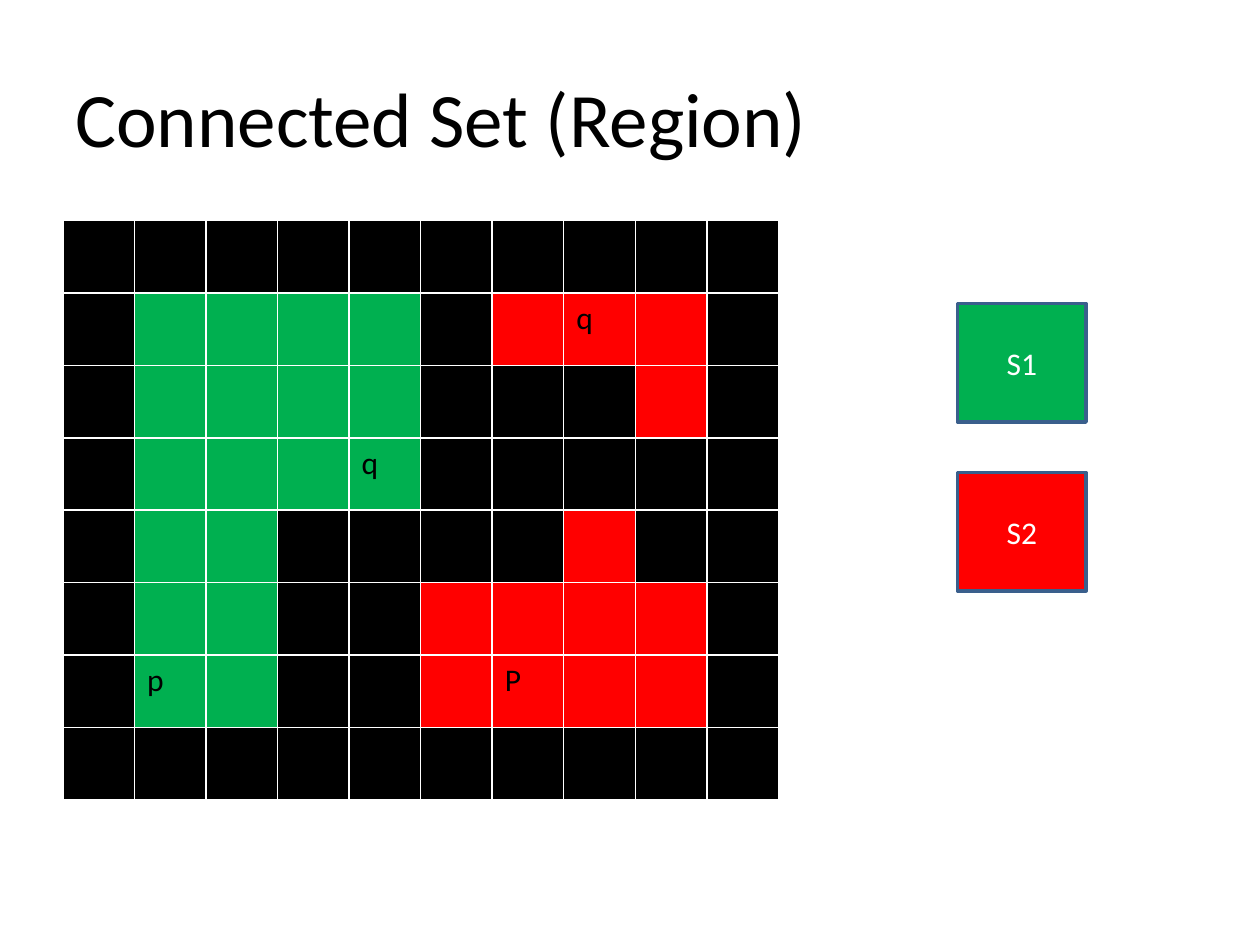
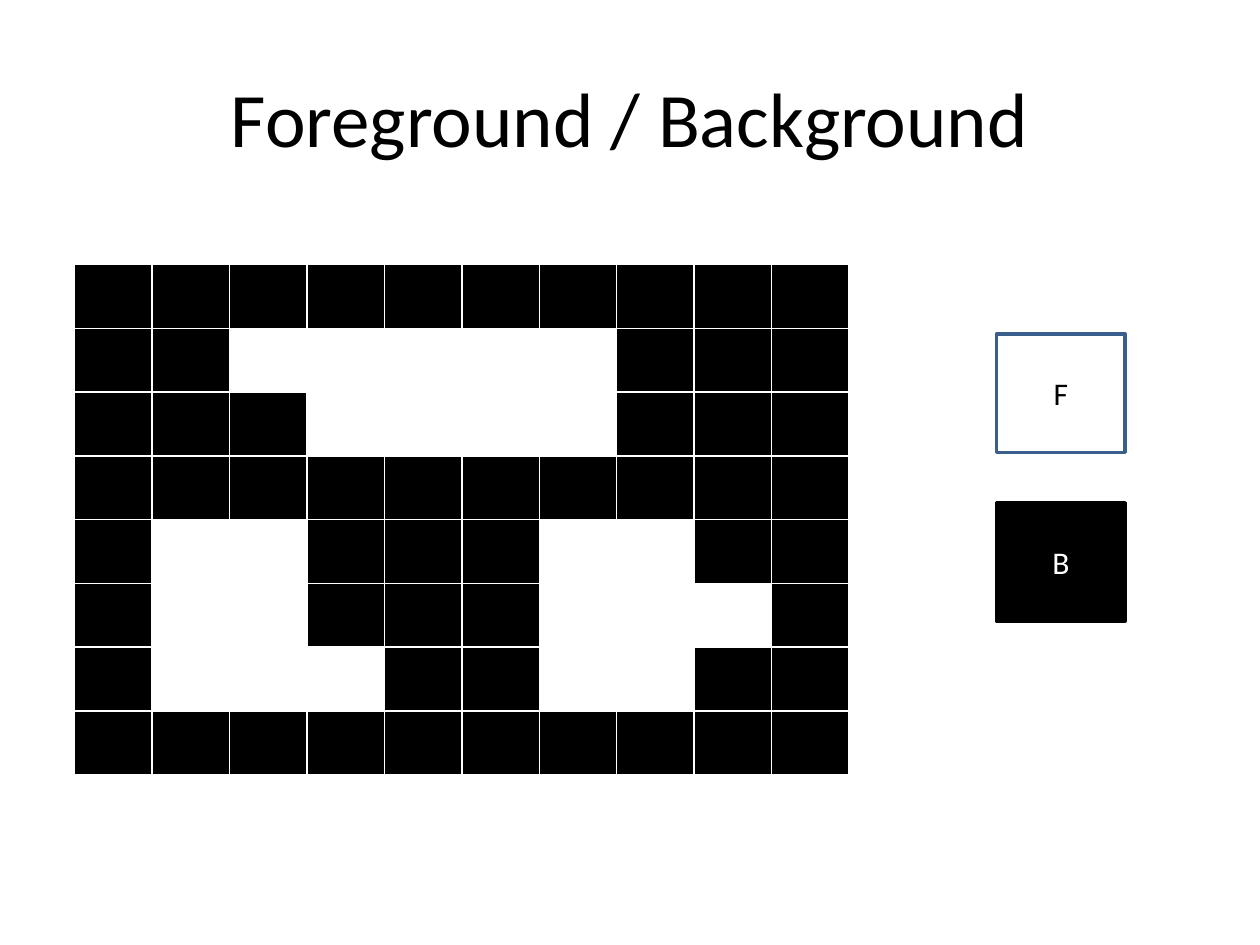
from dataclasses import dataclass, field

import pptx
import pptx.dml.color
import pptx.enum.shapes
import pptx.enum.text
import pptx.oxml
import pptx.oxml.ns
import pptx.util

COLORS = {
    "black": "000000",
    "white": "FFFFFF",
    "green": "00B050",
    "red": "FF0000",
    "outline": "3A5F8C",
}
FONT = "Calibri"
TITLE_SIZE, LABEL_SIZE = 44, 18
ALIGN = pptx.enum.text.PP_ALIGN
MIDDLE = pptx.enum.text.MSO_ANCHOR.MIDDLE

# Layout grid: 100 columns by 75 rows of square units
GRID_COLUMNS, GRID_ROWS = 100, 75
SLIDE_WIDTH = pptx.util.Inches(10)
SLIDE_HEIGHT = pptx.util.Inches(7.5)

# One letter per pixel of an image
PIXEL_COLORS = {".": "black", "G": "green", "R": "red", "W": "white"}


@dataclass
class Box:
    left: float
    top: float
    width: float
    height: float

    def emu(self) -> tuple[int, int, int, int]:
        column, row = SLIDE_WIDTH / GRID_COLUMNS, SLIDE_HEIGHT / GRID_ROWS
        return (round(self.left * column), round(self.top * row),
                round(self.width * column), round(self.height * row))


@dataclass
class LegendKey:
    label: str
    fill: str
    text: str = "white"
    outline: str = "outline"


@dataclass
class RegionSlide:
    title: str
    title_align: ALIGN
    image_box: Box
    pixels: list[str]
    legend_left: float
    legend_top: float
    legend: list[LegendKey]
    points: dict[tuple[int, int], str] = field(default_factory=dict)


TITLE_BOX = Box(5, 3, 90, 12.5)
KEY_WIDTH, KEY_HEIGHT, KEY_STEP = 10.2, 9.4, 13.4

SLIDES = [
    RegionSlide(
        title="Connected Set (Region)",
        title_align=ALIGN.LEFT,
        image_box=Box(5, 17.5, 56.8, 46),
        pixels=[
            "..........",
            ".GGGG.RRR.",
            ".GGGG...R.",
            ".GGGG.....",
            ".GG....R..",
            ".GG..RRRR.",
            ".GG..RRRR.",
            "..........",
        ],
        points={(1, 7): "q", (3, 4): "q", (6, 1): "p", (6, 6): "P"},
        legend_left=76,
        legend_top=24.1,
        legend=[LegendKey("S1", "green"), LegendKey("S2", "red")],
    ),
    RegionSlide(
        title="Foreground / Background",
        title_align=ALIGN.CENTER,
        image_box=Box(5.9, 21, 61.5, 40.5),
        pixels=[
            "..........",
            "..WWWWW...",
            "...WWWW...",
            "..........",
            ".WW...WW..",
            ".WW...WWW.",
            ".WWW..WW..",
            "..........",
        ],
        legend_left=79.1,
        legend_top=26.5,
        legend=[LegendKey("F", "white", text="black"),
                LegendKey("B", "black", outline="black")],
    ),
]


def rgb(name: str) -> pptx.dml.color.RGBColor:
    return pptx.dml.color.RGBColor.from_string(COLORS[name])


def write(frame, text: str, size: float, color: str, align: ALIGN) -> None:
    paragraph = frame.paragraphs[0]
    paragraph.text = text
    paragraph.alignment = align
    paragraph.font.name = FONT
    paragraph.font.size = pptx.util.Pt(size)
    paragraph.font.color.rgb = rgb(color)


def add_title(slide, title: str, align: ALIGN) -> None:
    frame = slide.shapes.add_textbox(*TITLE_BOX.emu()).text_frame
    frame.word_wrap = True
    frame.vertical_anchor = MIDDLE
    write(frame, title, TITLE_SIZE, "black", align)


def add_cell_borders(cell, color: str, points: float) -> None:
    properties = cell._tc.get_or_add_tcPr()
    for side in ("lnL", "lnR", "lnT", "lnB"):
        properties.append(pptx.oxml.parse_xml(
            f'<a:{side} {pptx.oxml.ns.nsdecls("a")} w="{pptx.util.Pt(points)}">'
            f'<a:solidFill><a:srgbClr val="{COLORS[color]}"/></a:solidFill>'
            f'</a:{side}>'))


def add_image_grid(slide, content: RegionSlide) -> None:
    row_count, column_count = len(content.pixels), len(content.pixels[0])
    left, top, width, height = content.image_box.emu()
    table = slide.shapes.add_table(
        row_count, column_count, left, top, width, height).table
    table.first_row = table.horz_banding = False
    for column in table.columns:
        column.width = width // column_count
    for row in table.rows:
        row.height = height // row_count
    for y, pixel_row in enumerate(content.pixels):
        for x, pixel in enumerate(pixel_row):
            cell = table.cell(y, x)
            add_cell_borders(cell, "white", 1)
            cell.fill.solid()
            cell.fill.fore_color.rgb = rgb(PIXEL_COLORS[pixel])
            if (y, x) in content.points:
                write(cell.text_frame, content.points[y, x],
                      LABEL_SIZE, "black", ALIGN.LEFT)


def add_legend_key(slide, key: LegendKey, box: Box) -> None:
    swatch = slide.shapes.add_shape(
        pptx.enum.shapes.MSO_SHAPE.RECTANGLE, *box.emu())
    swatch.shadow.inherit = False
    swatch.fill.solid()
    swatch.fill.fore_color.rgb = rgb(key.fill)
    swatch.line.color.rgb = rgb(key.outline)
    swatch.line.width = pptx.util.Pt(2)
    swatch.text_frame.vertical_anchor = MIDDLE
    write(swatch.text_frame, key.label, LABEL_SIZE, key.text, ALIGN.CENTER)


def add_region_slide(deck, content: RegionSlide) -> None:
    slide = deck.slides.add_slide(deck.slide_layouts[6])
    add_title(slide, content.title, content.title_align)
    add_image_grid(slide, content)
    for index, key in enumerate(content.legend):
        key_top = content.legend_top + index * KEY_STEP
        add_legend_key(slide, key, Box(content.legend_left, key_top,
                                       KEY_WIDTH, KEY_HEIGHT))


def main() -> None:
    deck = pptx.Presentation()
    deck.slide_width, deck.slide_height = SLIDE_WIDTH, SLIDE_HEIGHT
    for content in SLIDES:
        add_region_slide(deck, content)
    deck.save("out.pptx")


if __name__ == "__main__":
    main()
